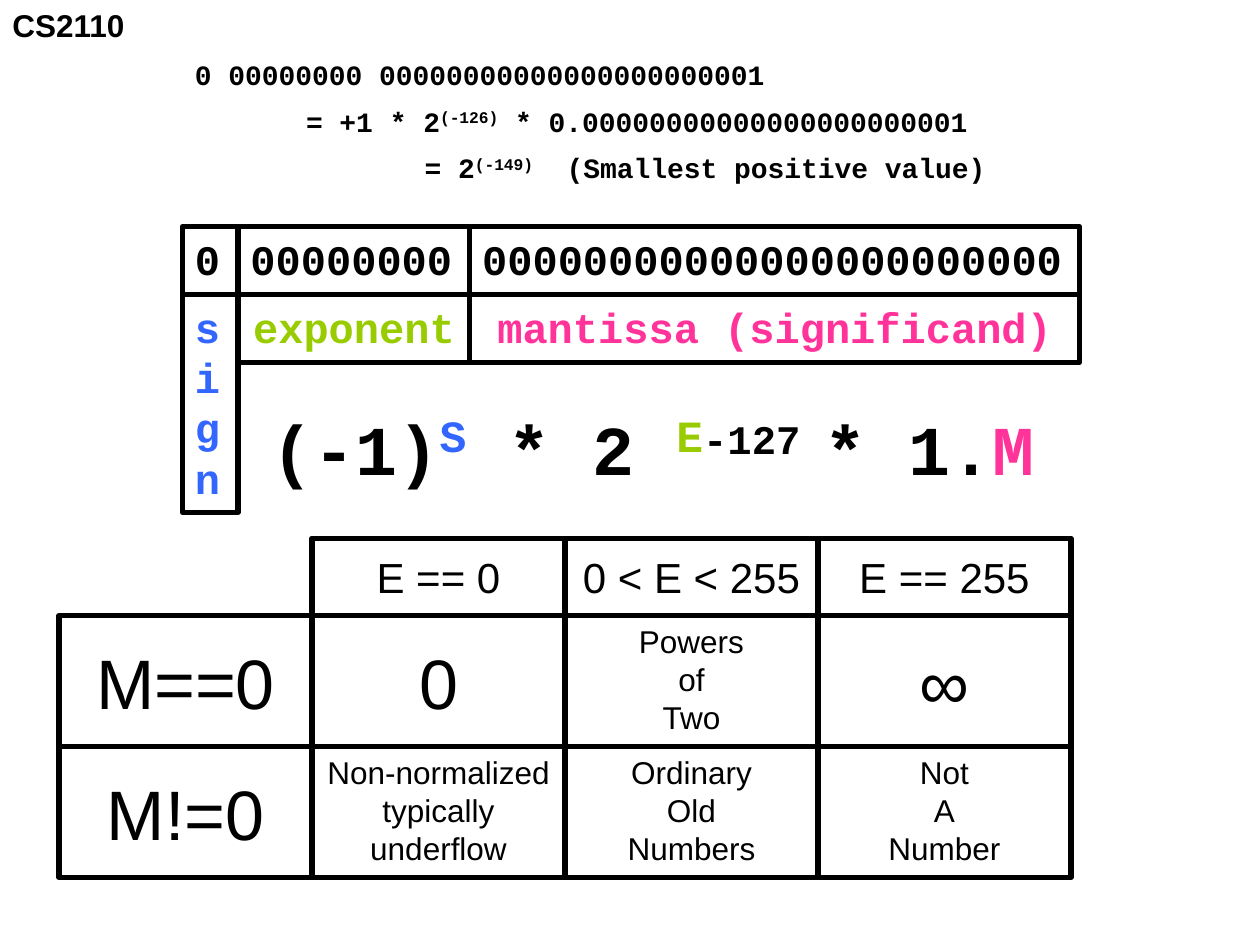
"""Build a slide on the special cases of single-precision floating point."""
from dataclasses import dataclass

from pptx import Presentation
from pptx.dml.color import RGBColor
from pptx.enum.shapes import MSO_SHAPE
from pptx.enum.text import MSO_ANCHOR, PP_ALIGN
from pptx.util import Cm, Pt

RECTANGLE = MSO_SHAPE.RECTANGLE
LEFT, CENTER = PP_ALIGN.LEFT, PP_ALIGN.CENTER
TOP, MIDDLE = MSO_ANCHOR.TOP, MSO_ANCHOR.MIDDLE

BLACK = RGBColor(0x00, 0x00, 0x00)
SIGN_BLUE = RGBColor(0x33, 0x66, 0xFF)
EXPONENT_GREEN = RGBColor(0x99, 0xCC, 0x00)
MANTISSA_PINK = RGBColor(0xFF, 0x33, 0x99)

SANS = "Arial"
MONO = "Courier New"


@dataclass(frozen=True)
class Piece:
    text: str
    size: int
    color: RGBColor = BLACK
    raised: bool = False


@dataclass(frozen=True)
class Box:
    """Place a block of text; lengths are in centimetres."""

    left: float
    top: float
    width: float
    height: float
    lines: list[list[Piece]]
    font: str = SANS
    bold: bool = False
    align: PP_ALIGN = LEFT
    anchor: MSO_ANCHOR = TOP
    inset_top: float = 0.13
    framed: bool = False


def add_piece(paragraph, piece: Piece, box: Box) -> None:
    run = paragraph.add_run()
    run.text = piece.text
    run.font.name = box.font
    run.font.size = Pt(piece.size)
    run.font.bold = box.bold
    run.font.color.rgb = piece.color
    if piece.raised:
        run._r.get_or_add_rPr().set("baseline", "30000")


def draw_box(slide, box: Box) -> None:
    place = Cm(box.left), Cm(box.top), Cm(box.width), Cm(box.height)
    if box.framed:
        shape = slide.shapes.add_shape(RECTANGLE, *place)
        shape.shadow.inherit = False
        shape.fill.background()
        shape.line.color.rgb = BLACK
        shape.line.width = Pt(3)
    else:
        shape = slide.shapes.add_textbox(*place)
    frame = shape.text_frame
    frame.word_wrap = False
    frame.vertical_anchor = box.anchor
    frame.margin_top = Cm(box.inset_top)
    for index, line in enumerate(box.lines):
        paragraph = frame.add_paragraph() if index else frame.paragraphs[0]
        paragraph.alignment = box.align
        for piece in line:
            add_piece(paragraph, piece, box)


def draw_smallest_value(slide) -> None:
    size = 16
    steps = [
        (3.68, 12.4, [Piece("0 00000000 00000000000000000000001", size)]),
        (5.92, 14.17, [
            Piece("= +1 * 2", size),
            Piece("(-126)", size, raised=True),
            Piece(" * 0.00000000000000000000001", size),
        ]),
        (8.31, 11.81, [
            Piece("= 2", size),
            Piece("(-149)", size, raised=True),
            Piece("  (Smallest positive value)", size),
        ]),
    ]
    for index, (left, width, pieces) in enumerate(steps):
        draw_box(slide, Box(left, 0.89 + 0.94 * index, width, 0.94, [pieces],
                            MONO, bold=True, inset_top=0.27))


def draw_bit_fields(slide) -> None:
    top, row_height, left = 4.57, 1.37, 3.68
    fields = [
        (1.12, "0" * 1, "sign", SIGN_BLUE, 4.39, LEFT),
        (4.67, "0" * 8, "exponent", EXPONENT_GREEN, row_height, CENTER),
        (12.29, "0" * 23, "mantissa (significand)", MANTISSA_PINK, row_height, CENTER),
    ]
    for width, bits, name, color, name_height, align in fields:
        labels = list(name) if name == "sign" else [name]
        draw_box(slide, Box(left, top, width, row_height, [[Piece(bits, 24)]],
                            MONO, bold=True, framed=True))
        draw_box(slide, Box(left, top + row_height, width, name_height,
                            [[Piece(label, 24, color)] for label in labels],
                            MONO, bold=True, align=align, framed=True))
        left += width


def draw_formula(slide) -> None:
    pieces = [
        Piece("(-1)", 40),
        Piece("S", 44, SIGN_BLUE, raised=True),
        Piece(" * 2 ", 40),
        Piece("E", 44, EXPONENT_GREEN, raised=True),
        Piece("-127 ", 40, raised=True),
        Piece("* 1.", 40),
        Piece("M", 40, MANTISSA_PINK),
    ]
    draw_box(slide, Box(5.23, 7.9, 15.88, 2.13, [pieces], MONO, bold=True))


def draw_cases(slide) -> None:
    left, top, column_width = 1.19, 10.85, 5.1
    rows = [
        (1.56, 24, ["", "E == 0", "0 < E < 255", "E == 255"]),
        (2.64, 40, ["M==0", "0", "Powers\nof\nTwo", "∞"]),
        (2.64, 40, ["M!=0", "Non-normalized\ntypically\nunderflow",
                    "Ordinary\nOld\nNumbers", "Not\nA\nNumber"]),
    ]
    for height, large_size, cells in rows:
        for column, text in enumerate(cells):
            if not text:
                continue
            lines = text.split("\n")
            several = len(lines) > 1
            size = 18 if several else large_size
            draw_box(slide, Box(left + column * column_width, top, column_width, height,
                                [[Piece(line, size)] for line in lines],
                                align=CENTER, anchor=TOP if several else MIDDLE,
                                framed=True))
        top += height


def main() -> None:
    presentation = Presentation()
    presentation.slide_width = Cm(25.4)
    presentation.slide_height = Cm(19.05)
    slide = presentation.slides.add_slide(presentation.slide_layouts[6])
    draw_box(slide, Box(0, 0, 2.79, 1.02, [[Piece("CS2110", 18)]], bold=True))
    draw_bit_fields(slide)
    draw_formula(slide)
    draw_cases(slide)
    draw_smallest_value(slide)
    presentation.save("out.pptx")


if __name__ == "__main__":
    main()
